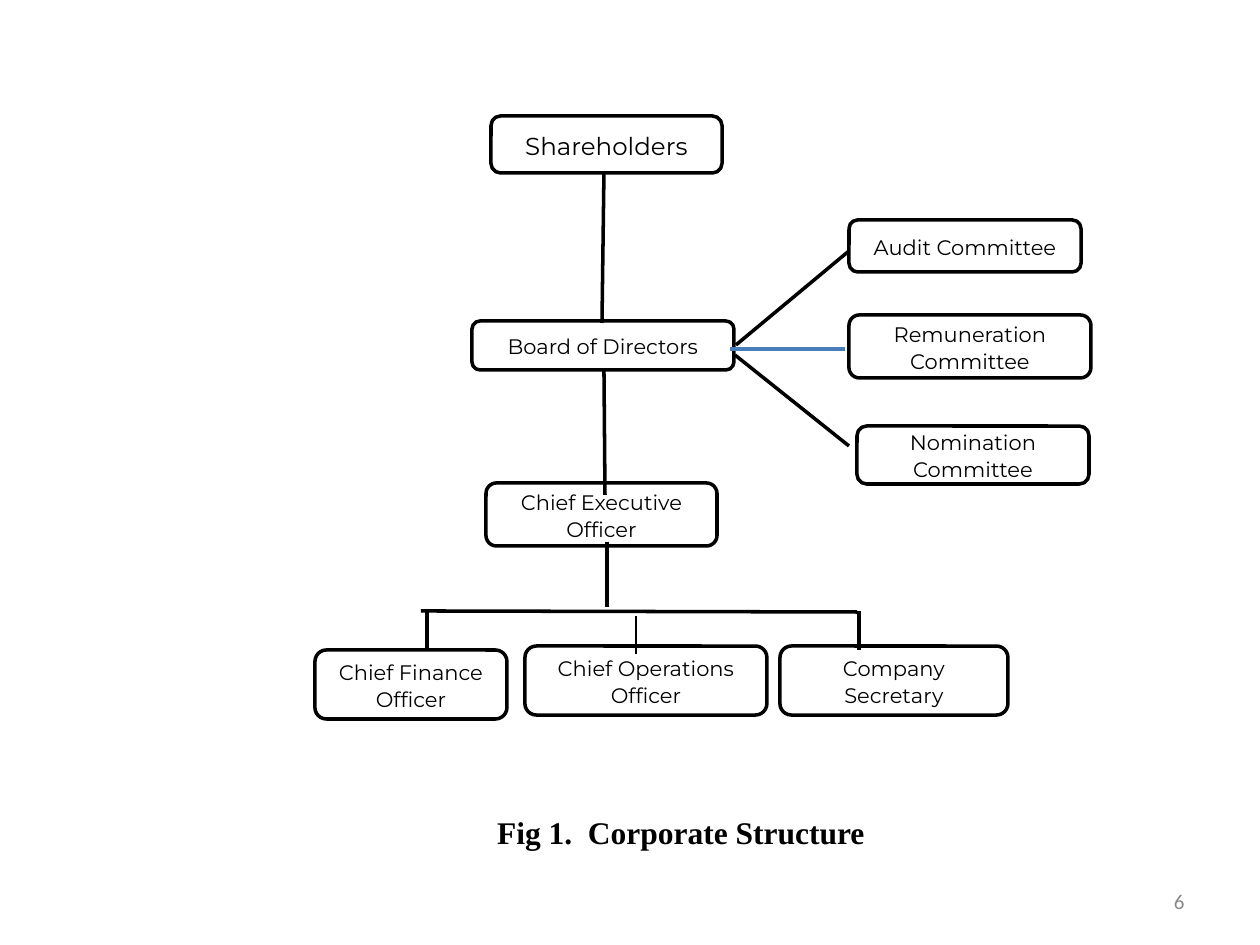
from lxml import etree
from pptx import Presentation
from pptx.dml.color import RGBColor
from pptx.enum import shapes, text
from pptx.oxml import ns
from pptx.util import Pt

SCALE = 914400 / 126


def px(n):
    return round(n * SCALE)


def tint(code):
    return RGBColor.from_string(code)


class Chart:
    ink = "000000"
    paper = "FFFFFF"
    face = "Montserrat"

    def __init__(self, deck):
        self.slide = deck.slides.add_slide(deck.slide_layouts[5])
        self.items = self.slide.shapes

    def label(self, frame, words, size, face, code, align, anchor, bold=False):
        frame.text = words
        frame.word_wrap = True
        frame.auto_size = text.MSO_AUTO_SIZE.NONE
        frame.vertical_anchor = anchor
        para = frame.paragraphs[0]
        para.alignment = align
        font = para.font
        font.name, font.size, font.bold = face, Pt(size), bold
        font.color.rgb = tint(code)
        return para

    def space(self, para):
        para.line_spacing = 1.07
        para.space_after = Pt(8)

    def box(self, words, x, y, w, h, size=12):
        item = self.items.add_shape(
            shapes.MSO_SHAPE.ROUNDED_RECTANGLE, *map(px, (x, y, w, h)))
        item.shadow.inherit = False
        item.fill.solid()
        item.fill.fore_color.rgb = tint(self.paper)
        item.line.color.rgb = tint(self.ink)
        item.line.width = Pt(2)
        self.space(self.label(item.text_frame, words, size, self.face, self.ink,
                              text.PP_ALIGN.CENTER, text.MSO_ANCHOR.MIDDLE))

    def link(self, x1, y1, x2, y2, code=ink, width=2):
        item = self.items.add_connector(
            shapes.MSO_CONNECTOR.STRAIGHT, *map(px, (x1, y1, x2, y2)))
        item.line.color.rgb = tint(code)
        item.line.width = Pt(width)
        props = item._element.find(ns.qn("p:spPr"))
        etree.SubElement(props, ns.qn("a:effectLst"))

    def title(self, words, x, y, w, h):
        item = self.items.title
        item.left, item.top, item.width, item.height = map(px, (x, y, w, h))
        self.space(self.label(item.text_frame, words, 18, "Times New Roman", self.ink,
                              text.PP_ALIGN.CENTER, text.MSO_ANCHOR.TOP, True))

    def page(self, words, x, y, w, h):
        item = self.items.add_textbox(*map(px, (x, y, w, h)))
        self.label(item.text_frame, words, 12, "Calibri", "898989",
                   text.PP_ALIGN.RIGHT, text.MSO_ANCHOR.MIDDLE)


def main():
    deck = Presentation()
    deck.slide_width, deck.slide_height = px(1260), px(945)
    chart = Chart(deck)

    chart.box("Shareholders", 491, 116, 231, 57, 14)
    for node in (
        ("Board of Directors", 472, 321, 262, 49),
        ("Chief Executive Officer", 486, 483, 231, 63),
        ("Chief Finance Officer", 315, 650, 192, 69),
        ("Audit Committee", 849, 220, 232, 52),
        ("Remuneration Committee", 849, 315, 242, 63),
        ("Nomination Committee", 857, 426, 232, 58),
        ("Chief Operations Officer", 525, 646, 242, 69),
        ("Company Secretary", 780, 646, 228, 69),
    ):
        chart.box(*node)

    for ends in (
        (849, 251, 736, 345),
        (849, 446, 735, 355),
        (604, 173, 602, 323),
        (604, 370, 605, 495),
        (421, 611, 857, 612),
        (607, 542, 607, 607),
        (859, 611, 859, 650),
        (427, 612, 427, 650),
    ):
        chart.link(*ends)
    chart.link(845, 349, 730, 349, code="4A7EBB")
    chart.link(636, 616, 636, 654, width=1)

    chart.title("Fig 1.  Corporate Structure", 459, 804, 444, 53)
    chart.page("6", 903, 876, 294, 50)
    deck.save("out.pptx")


if __name__ == "__main__":
    main()
